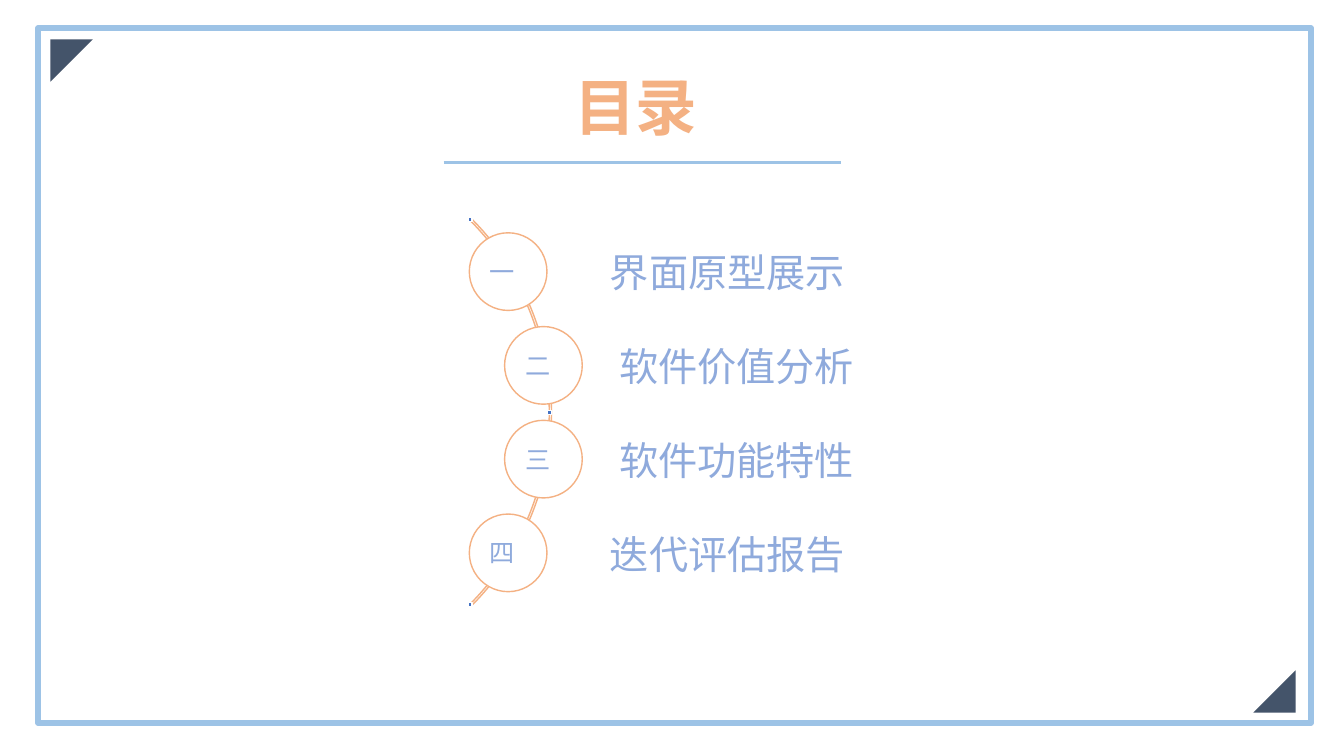
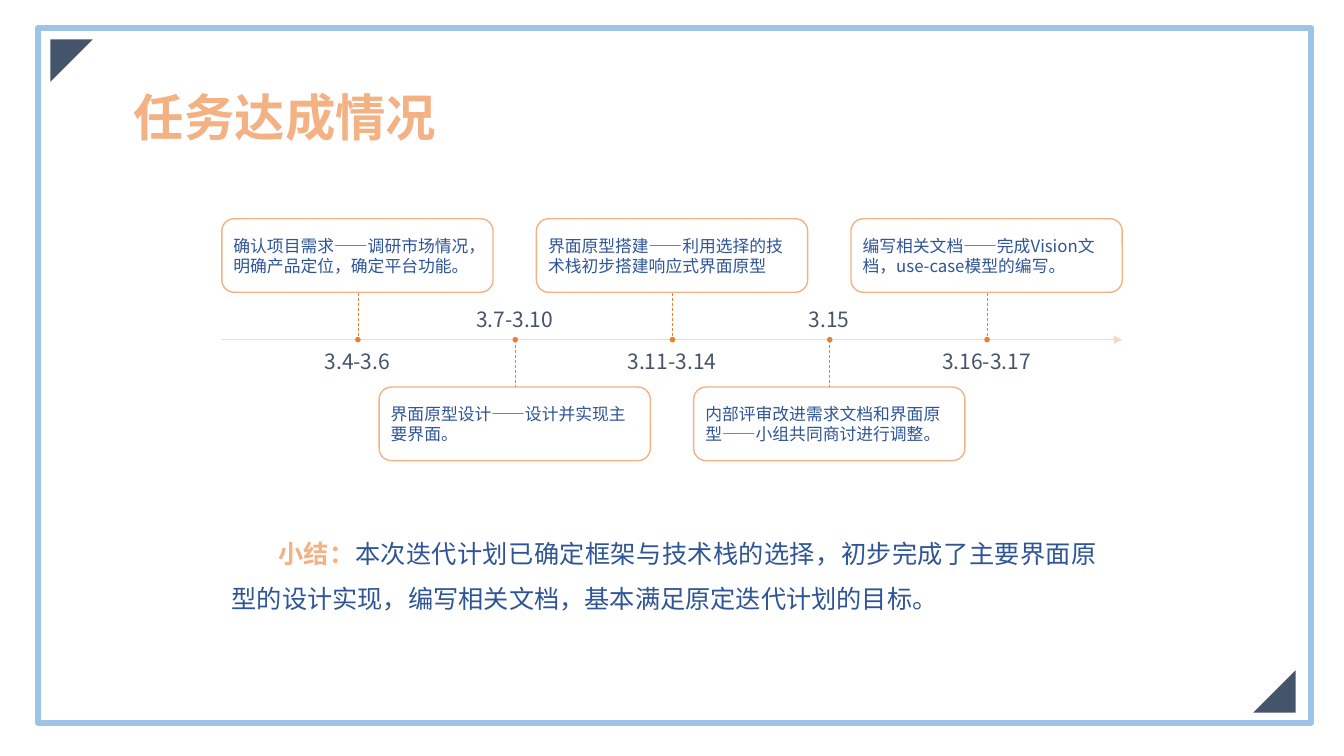
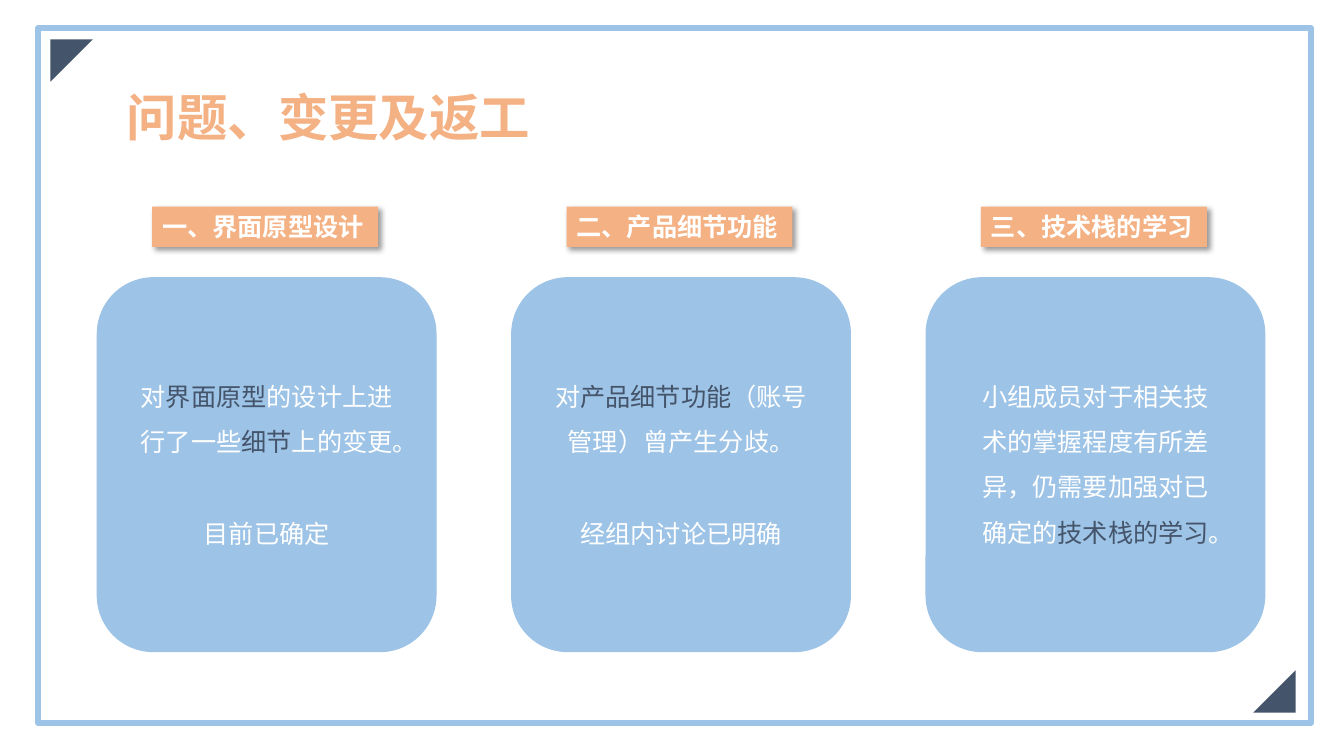
from lxml.etree import SubElement
from pptx import Presentation
from pptx.dml.color import RGBColor
from pptx.enum.dml import MSO_LINE
from pptx.enum.shapes import MSO_CONNECTOR, MSO_SHAPE as SHAPE
from pptx.enum.text import MSO_ANCHOR as ANCHOR, PP_ALIGN as ALIGN
from pptx.oxml.ns import qn
from pptx.util import Inches, Pt

FONT = "Noto Sans CJK SC"
SKY, NAVY, ORANGE, DEEP_ORANGE = "9DC3E6", "44546A", "F4B183", "ED7D31"
PERIWINKLE, ROYAL, BLUE, PINK, WHITE = "8FAADC", "2F5597", "4472C4", "F8D7CE", "FFFFFF"


def rgb(color):
    return RGBColor.from_string(color)


def add_shape(s, kind, x, y, w, h, fill=None, line=None, width=1, rotation=0):
    sp = s.shapes.add_shape(kind, Inches(x), Inches(y), Inches(w), Inches(h))
    sp.shadow.inherit = False
    sp.rotation = rotation
    if fill:
        sp.fill.solid()
        sp.fill.fore_color.rgb = rgb(fill)
    else:
        sp.fill.background()
    if line:
        sp.line.color.rgb = rgb(line)
        sp.line.width = Pt(width)
    else:
        sp.line.fill.background()
    return sp


def add_line(s, x1, y1, x2, y2, color, width, dash=False, arrow=False):
    cn = s.shapes.add_connector(
        MSO_CONNECTOR.STRAIGHT, Inches(x1), Inches(y1), Inches(x2), Inches(y2))
    cn.line.color.rgb = rgb(color)
    cn.line.width = Pt(width)
    if dash:
        cn.line.dash_style = MSO_LINE.DASH
    if arrow:
        SubElement(cn.line._get_or_add_ln(), qn("a:tailEnd"), type="triangle")
    SubElement(cn._element.spPr, qn("a:effectLst"))


def add_run(p, text, size, color, bold):
    r = p.add_run()
    r.text = text
    r.font.size = Pt(size)
    r.font.bold = bold
    r.font.color.rgb = rgb(color)
    r.font.name = FONT
    SubElement(r.font._element, qn("a:ea"), typeface=FONT)


def write(sp, *paragraphs, size=18, color=WHITE, bold=False, align=ALIGN.LEFT,
          anchor=ANCHOR.TOP, margins=(0.1, 0.05, 0.1, 0.05), spacing=None,
          gap=0, indent=0):
    tf = sp.text_frame
    tf.word_wrap = True
    tf.vertical_anchor = anchor
    tf.margin_left, tf.margin_top, tf.margin_right, tf.margin_bottom = map(Inches, margins)
    for i, runs in enumerate(paragraphs):
        p = tf.add_paragraph() if i else tf.paragraphs[0]
        p.alignment = align
        if spacing:
            p.line_spacing = spacing
        if i and gap:
            p.space_before = Pt(gap)
        if indent:
            p._p.get_or_add_pPr().set("indent", str(Inches(indent)))
        if isinstance(runs, str):
            runs = [(runs, color, bold)]
        for text, run_color, run_bold in runs:
            add_run(p, text, size, run_color, run_bold)


def add_text(s, x, y, w, h, *paragraphs, **style):
    sp = s.shapes.add_textbox(Inches(x), Inches(y), Inches(w), Inches(h))
    write(sp, *paragraphs, **style)


def add_title(s, text, x, y=0.81, w=4.75, h=0.71, size=36, align=ALIGN.LEFT):
    add_text(s, x, y, w, h, text, size=size, color=ORANGE, bold=True, align=align)


def add_label(s, x, y, text):
    sp = add_shape(s, SHAPE.RECTANGLE, x, y, 2.24, 0.4, ORANGE)
    effects = sp._element.spPr.find(qn("a:effectLst"))
    shadow = SubElement(effects, qn("a:outerShdw"), blurRad=str(Pt(4)), dist=str(Pt(3)),
                        dir="2700000", algn="tl", rotWithShape="0")
    black = SubElement(shadow, qn("a:srgbClr"), val="000000")
    SubElement(black, qn("a:alpha"), val="40000")
    write(sp, text, bold=True)


def framed_slide(prs):
    s = prs.slides.add_slide(prs.slide_layouts[6])
    add_shape(s, SHAPE.RECTANGLE, 0.38, 0.28, 12.62, 6.89, line=SKY, width=4.5)
    for x, y, rotation in ((12.43, 6.65, 270), (0.5, 0.39, 90)):
        add_shape(s, SHAPE.RIGHT_TRIANGLE, x, y, 0.42, 0.42, NAVY, rotation=rotation)
    return s


def agenda_slide(prs):
    s = framed_slide(prs)
    add_title(s, "目录", 2.97, 0.63, 6.67, 0.84, 44, ALIGN.CENTER)
    add_line(s, 4.4, 1.61, 8.34, 1.61, SKY, 2.25)
    arc = add_shape(s, SHAPE.BLOCK_ARC, 0.03, 1.37, 5.44, 5.44, line=ORANGE)
    for i, value in enumerate((189, 27, 0.004)):
        arc.adjustments[i] = value
    items = (("一", "界面原型展示", 5.04, 1.01), ("二", "软件价值分析", 5.39, 0.75),
             ("三", "软件功能特性", 5.39, 0.75), ("四", "迭代评估报告", 5.04, 1.01))
    for i, (number, text, x, inset) in enumerate(items):
        y = 2.39 + 0.93 * i
        bar = add_shape(s, SHAPE.RECTANGLE, x, y, 8.78 - x, 0.62, WHITE, WHITE)
        write(bar, text, size=28, color=PERIWINKLE, anchor=ANCHOR.MIDDLE,
              margins=(inset, 0.08, 0.08, 0.08))
        circle = add_shape(s, SHAPE.OVAL, x - 0.385, y - 0.08, 0.77, 0.77, WHITE, ORANGE)
        write(circle, number, color=PERIWINKLE, align=ALIGN.CENTER,
              anchor=ANCHOR.MIDDLE, margins=(0, 0, 0.11, 0))
    for x, y in ((4.64, 2.16), (5.43, 4.07), (4.64, 5.98)):
        add_shape(s, SHAPE.RECTANGLE, x, y, 0.04, 0.04, BLUE, WHITE)


def timeline_slide(prs):
    s = framed_slide(prs)
    add_title(s, "任务达成情况", 1.23)
    axis = 3.37
    add_line(s, 2.2, axis, 11.13, axis, PINK, 1, arrow=True)
    steps = (("3.4-3.6", "确认项目需求——调研市场情况，明确产品定位，确定平台功能。"),
             ("3.7-3.10", "界面原型设计——设计并实现主要界面。"),
             ("3.11-3.14", "界面原型搭建——利用选择的技术栈初步搭建响应式界面原型"),
             ("3.15", "内部评审改进需求文档和界面原型——小组共同商讨进行调整。"),
             ("3.16-3.17", "编写相关文档——完成Vision文档，use-case模型的编写。"))
    for i, (date, text) in enumerate(steps):
        x = 3.55 + 1.56 * i
        above = i % 2 == 0
        date_y, box_y, edge_y = (3.46, 2.17, 2.91) if above else (3.01, 3.84, 3.84)
        add_text(s, x - 1.19, date_y, 2.37, 0.28, date, size=15, color=NAVY,
                 align=ALIGN.CENTER, margins=(0, 0, 0, 0),
                 anchor=ANCHOR.TOP if above else ANCHOR.BOTTOM)
        box = add_shape(s, SHAPE.ROUNDED_RECTANGLE, x - 1.35, box_y, 2.69, 0.73, line=ORANGE)
        write(box, text, size=12, color=ROYAL, anchor=ANCHOR.MIDDLE,
              margins=(0.08, 0.08, 0.08, 0.08))
        add_line(s, x, min(edge_y, axis), x, max(edge_y, axis), DEEP_ORANGE, 0.5, dash=True)
        add_shape(s, SHAPE.OVAL, x - 0.02, axis - 0.02, 0.04, 0.04, DEEP_ORANGE, DEEP_ORANGE)
    summary = [("小结：", ORANGE, True),
               ("本次迭代计划已确定框架与技术栈的选择，初步完成了主要界面原型的设计实现，"
                "编写相关文档，基本满足原定迭代计划的目标。", ROYAL, False)]
    add_text(s, 2.2, 5.14, 8.78, 0.96, summary, align=ALIGN.JUSTIFY, spacing=1.5, indent=0.46)


def problems_slide(prs):
    s = framed_slide(prs)
    add_title(s, "问题、变更及返工", 1.16)

    def mixed(*parts):
        return [(text, NAVY if i % 2 else WHITE, False) for i, text in enumerate(parts)]

    cards = (
        ("一、界面原型设计", 2.86,
         [mixed("对", "界面原型", "的设计上进行了一些", "细节", "上的变更。"), "目前已确定"]),
        ("二、产品细节功能", 2.75,
         [mixed("对", "产品细节功能", "（账号管理）曾产生分歧。"), "经组内讨论已明确"]),
        ("三、技术栈的学习", 2.58,
         [mixed("小组成员对于相关技术的掌握程度有所差异，仍需要加强对已确定的",
                "技术栈的学习", "。")]),
    )
    for i, (label, width, paragraphs) in enumerate(cards):
        x = 0.96 + 4.11 * i
        add_shape(s, SHAPE.ROUNDED_RECTANGLE, x, 2.75, 3.37, 3.72, SKY)
        add_text(s, x + (3.37 - width) / 2, 3.58, width, 1.87, *paragraphs,
                 align=ALIGN.CENTER, spacing=1.5, gap=33)
        add_label(s, x + 0.55, 2.05, label)


def main():
    prs = Presentation()
    prs.slide_width, prs.slide_height = Inches(13.33), Inches(7.5)
    agenda_slide(prs)
    timeline_slide(prs)
    problems_slide(prs)
    prs.save("out.pptx")


if __name__ == "__main__":
    main()
